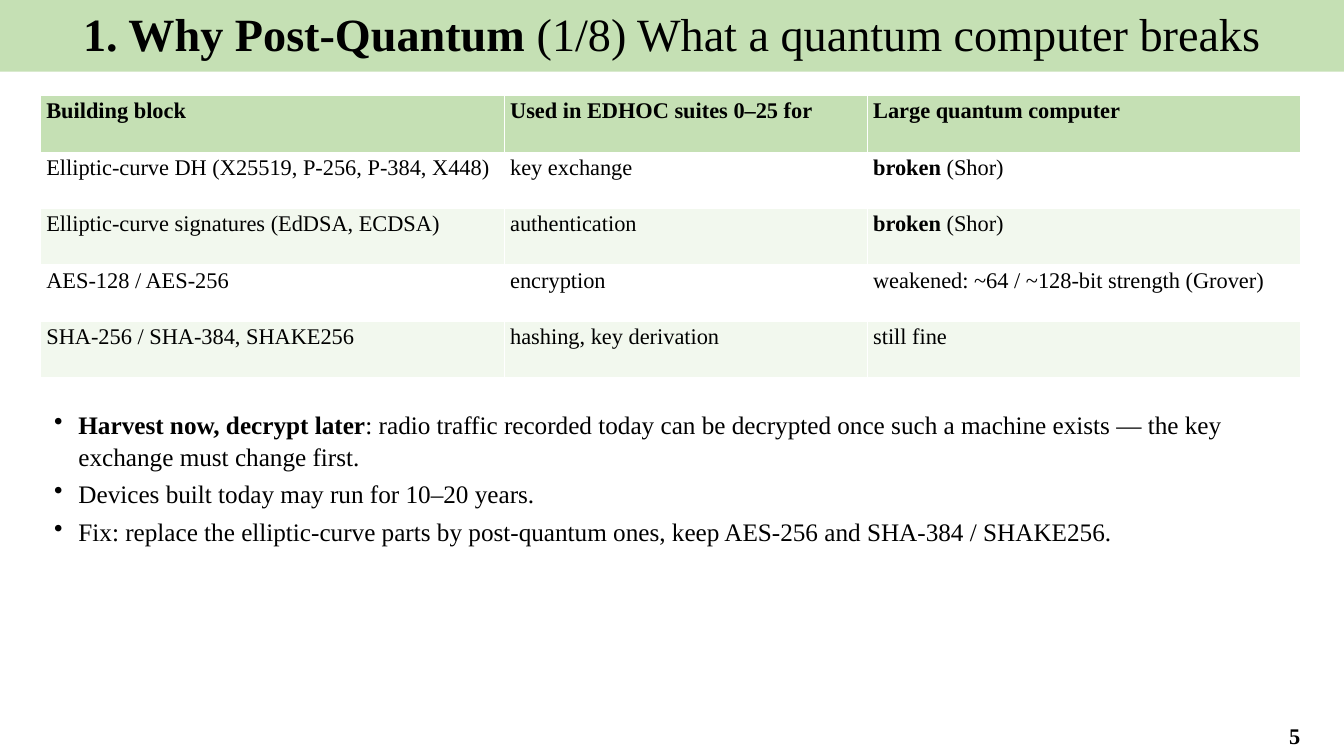
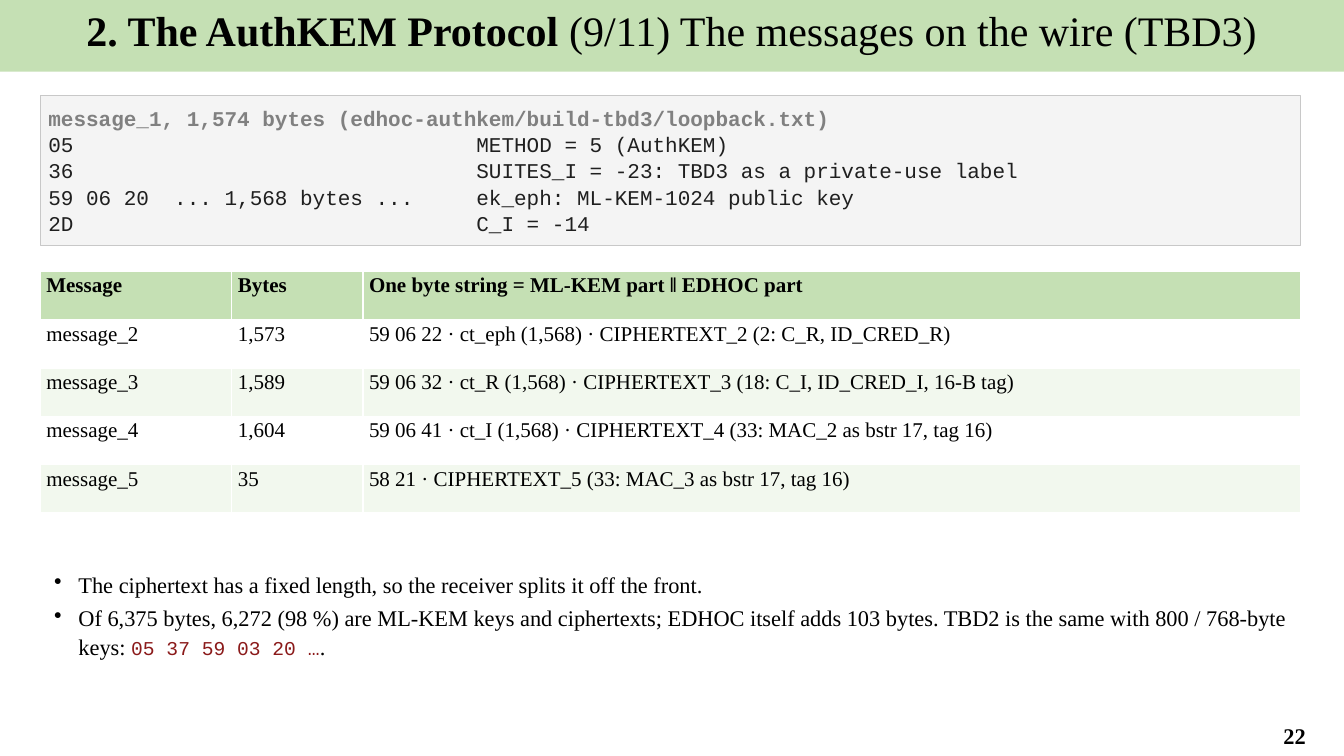
from lxml.etree import SubElement
from pptx import Presentation
from pptx.dml.color import RGBColor
from pptx.enum.shapes import MSO_SHAPE
from pptx.enum.text import MSO_ANCHOR, PP_ALIGN
from pptx.oxml.ns import qn
from pptx.util import Inches, Pt

SERIF, MONO = "Times New Roman", "Courier New"
BLACK, WHITE, GREEN, PALE_GREEN = "000000", "FFFFFF", "C5E0B4", "F2F8EE"
CODE_FILL, CODE_LINE, CODE_TEXT, CODE_TITLE = "F4F4F4", "C8C8C8", "1F1F1F", "808080"
WIDTH, HEIGHT = 13.33, 7.5
LEFT, CONTENT_WIDTH, CONTENT_TOP = 0.4, 12.5, 0.95
LINE_SPACING = 1.05
CODE_COLUMN = 34  # characters before the explanation

BOLD = {"bold": True}
INLINE_CODE = {"font": MONO, "size": 14, "color": "8B1A1A"}
BROKEN = [("broken", BOLD), (" (Shor)", {})]

# A text is a string or a list of (text, format) spans.
SLIDES = [
    {
        "title": ("1. Why Post-Quantum ", "(1/8) What a quantum computer breaks"),
        "title_size": 33,
        "number": "5",
        "table": {
            "top": CONTENT_TOP,
            "columns": (4.6, 3.6, 4.3),
            "row_height": 0.56,
            "size": 16,
            "rows": [
                ("Building block", "Used in EDHOC suites 0–25 for", "Large quantum computer"),
                ("Elliptic-curve DH (X25519, P-256, P-384, X448)", "key exchange", BROKEN),
                ("Elliptic-curve signatures (EdDSA, ECDSA)", "authentication", BROKEN),
                ("AES-128 / AES-256", "encryption", "weakened: ~64 / ~128-bit strength (Grover)"),
                ("SHA-256 / SHA-384, SHAKE256", "hashing, key derivation", "still fine"),
            ],
        },
        "bullets": {
            "top": 4,
            "height": 2.9,
            "size": 18,
            "items": [
                [
                    ("Harvest now, decrypt later", BOLD),
                    (": radio traffic recorded today can be decrypted once such a machine "
                     "exists — the key exchange must change first.", {}),
                ],
                "Devices built today may run for 10–20 years.",
                "Fix: replace the elliptic-curve parts by post-quantum ones, "
                "keep AES-256 and SHA-384 / SHAKE256.",
            ],
        },
    },
    {
        "title": ("2. The AuthKEM Protocol ", "(9/11) The messages on the wire (TBD3)"),
        "title_size": 30,
        "number": "22",
        "code": {
            "height": 1.49,
            "title": "message_1, 1,574 bytes (edhoc-authkem/build-tbd3/loopback.txt)",
            "lines": [
                ("05", "METHOD = 5 (AuthKEM)"),
                ("36", "SUITES_I = -23: TBD3 as a private-use label"),
                ("59 06 20  ... 1,568 bytes ...", "ek_eph: ML-KEM-1024 public key"),
                ("2D", "C_I = -14"),
            ],
        },
        "table": {
            "top": 2.69,
            "columns": (1.9, 1.3, 9.3),
            "row_height": 0.48,
            "size": 15,
            "rows": [
                ("Message", "Bytes", "One byte string = ML-KEM part ‖ EDHOC part"),
                ("message_2", "1,573", "59 06 22 · ct_eph (1,568) · CIPHERTEXT_2 (2: C_R, ID_CRED_R)"),
                ("message_3", "1,589",
                 "59 06 32 · ct_R (1,568) · CIPHERTEXT_3 (18: C_I, ID_CRED_I, 16-B tag)"),
                ("message_4", "1,604",
                 "59 06 41 · ct_I (1,568) · CIPHERTEXT_4 (33: MAC_2 as bstr 17, tag 16)"),
                ("message_5", "35", "58 21 · CIPHERTEXT_5 (33: MAC_3 as bstr 17, tag 16)"),
            ],
        },
        "bullets": {
            "top": 5.6,
            "height": 1.4,
            "size": 16,
            "items": [
                "The ciphertext has a fixed length, so the receiver splits it off the front.",
                [
                    ("Of 6,375 bytes, 6,272 (98 %) are ML-KEM keys and ciphertexts; EDHOC itself "
                     "adds 103 bytes. TBD2 is the same with 800 / 768-byte keys: ", {}),
                    ("05 37 59 03 20 …", INLINE_CODE),
                    (".", {}),
                ],
            ],
        },
    },
]


def rgb(value):
    return RGBColor.from_string(value)


def write(paragraph, text, align=PP_ALIGN.LEFT, **style):
    """Fill a paragraph; each span may override the paragraph's font, size, color or bold."""
    paragraph.alignment = align
    spans = [(text, {})] if isinstance(text, str) else text
    for words, override in spans:
        look = {"font": SERIF, "size": 16, "color": BLACK, "bold": False, **style, **override}
        span = paragraph.add_run()
        span.text = words
        span.font.name = look["font"]
        span.font.size = Pt(look["size"])
        span.font.bold = look["bold"]
        span.font.color.rgb = rgb(look["color"])


def next_paragraph(frame, index):
    return frame.add_paragraph() if index else frame.paragraphs[0]


def add_panel(page, left, top, width, height, fill, line=None):
    panel = page.shapes.add_shape(
        MSO_SHAPE.RECTANGLE, Inches(left), Inches(top), Inches(width), Inches(height))
    panel.shadow.inherit = False
    panel.fill.solid()
    panel.fill.fore_color.rgb = rgb(fill)
    if line:
        panel.line.color.rgb = rgb(line)
        panel.line.width = Pt(0.75)
    else:
        panel.line.fill.background()
    panel.text_frame.word_wrap = True
    panel.text_frame.vertical_anchor = MSO_ANCHOR.TOP
    return panel.text_frame


def add_text_box(page, left, top, width, height):
    box = page.shapes.add_textbox(Inches(left), Inches(top), Inches(width), Inches(height))
    box.text_frame.word_wrap = True
    return box.text_frame


def add_title(page, title, size):
    frame = add_panel(page, 0, 0, WIDTH, 0.71, GREEN)
    section, topic = title
    write(frame.paragraphs[0], [(section, BOLD), (topic, {})], align=PP_ALIGN.CENTER, size=size)


def add_page_number(page, number):
    frame = add_text_box(page, 12.35, 7.1, 0.98, 0.39)
    frame.vertical_anchor = MSO_ANCHOR.MIDDLE
    write(frame.paragraphs[0], number, align=PP_ALIGN.CENTER, bold=True)


def add_code(page, height, title, lines):
    frame = add_panel(page, LEFT, CONTENT_TOP, CONTENT_WIDTH, height, CODE_FILL, CODE_LINE)
    frame.margin_left = frame.margin_right = Inches(0.08)
    frame.margin_top = frame.margin_bottom = Inches(0.08)
    texts = [title] + [data.ljust(CODE_COLUMN) + meaning for data, meaning in lines]
    for index, text in enumerate(texts):
        paragraph = next_paragraph(frame, index)
        paragraph.line_spacing = LINE_SPACING
        write(paragraph, text, font=MONO, size=15, bold=index == 0,
              color=CODE_TEXT if index else CODE_TITLE)


def add_table(page, top, columns, row_height, size, rows):
    table = page.shapes.add_table(
        len(rows), len(columns), Inches(LEFT), Inches(top),
        Inches(sum(columns)), Inches(row_height * len(rows))).table
    for column, width in zip(table.columns, columns):
        column.width = Inches(width)
    for row_index, texts in enumerate(rows):
        table.rows[row_index].height = Inches(row_height)
        header = row_index == 0
        fill = GREEN if header else WHITE if row_index % 2 else PALE_GREEN
        for column_index, text in enumerate(texts):
            cell = table.cell(row_index, column_index)
            cell.margin_left = cell.margin_right = Inches(0.06)
            cell.margin_top = cell.margin_bottom = Inches(0.03)
            cell.fill.solid()
            cell.fill.fore_color.rgb = rgb(fill)
            write(cell.text_frame.paragraphs[0], text, size=size, bold=header)


def add_bullets(page, top, height, size, items):
    frame = add_text_box(page, LEFT, top, CONTENT_WIDTH, height)
    for index, item in enumerate(items):
        paragraph = next_paragraph(frame, index)
        paragraph.line_spacing = LINE_SPACING
        paragraph.space_after = Pt(4)
        properties = paragraph._p.get_or_add_pPr()
        properties.set("marL", str(Inches(0.28)))
        properties.set("indent", str(Inches(-0.24)))
        SubElement(properties, qn("a:buChar")).set("char", "•")
        write(paragraph, item, size=size)


def main():
    deck = Presentation()
    deck.slide_width, deck.slide_height = Inches(WIDTH), Inches(HEIGHT)
    for content in SLIDES:
        page = deck.slides.add_slide(deck.slide_layouts[6])
        add_title(page, content["title"], content["title_size"])
        add_page_number(page, content["number"])
        if "code" in content:
            add_code(page, **content["code"])
        add_table(page, **content["table"])
        add_bullets(page, **content["bullets"])
    deck.save("out.pptx")


if __name__ == "__main__":
    main()
